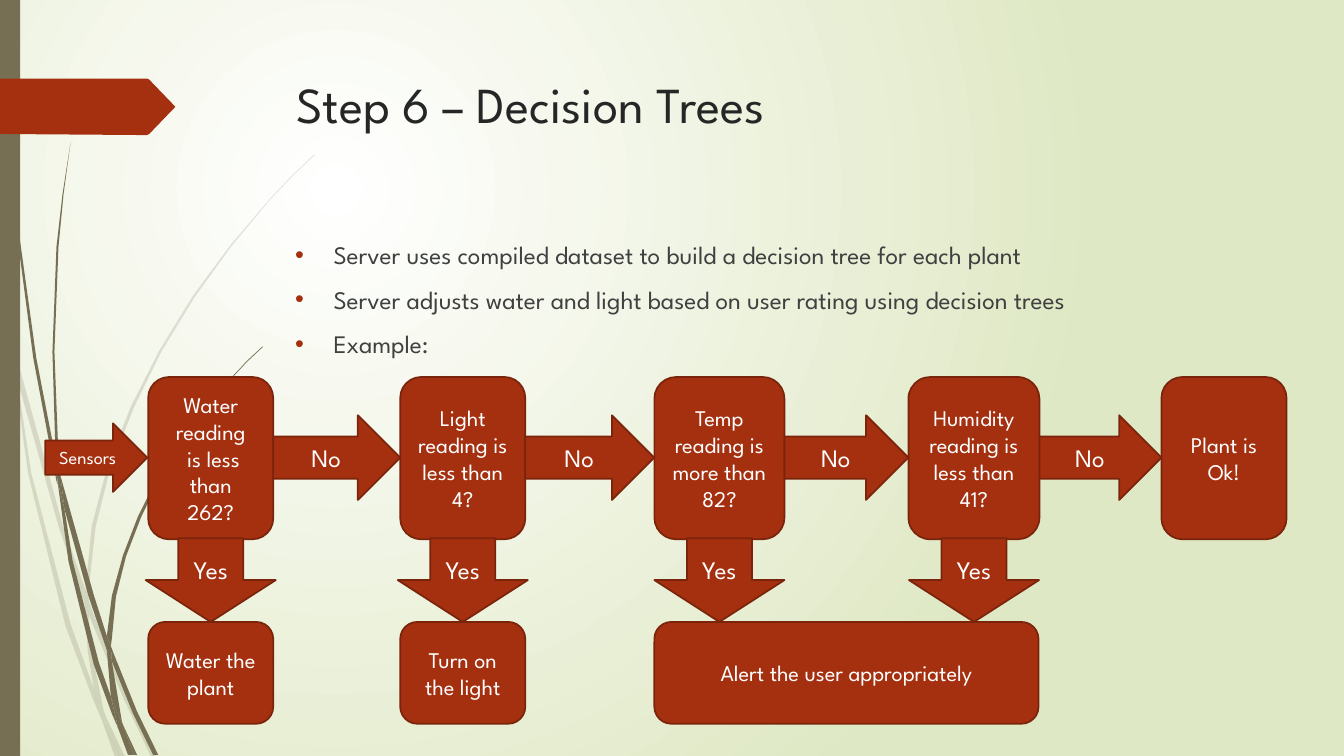
from dataclasses import dataclass

from lxml import etree
from pptx import Presentation
from pptx import util as u
from pptx.dml.color import RGBColor
from pptx.enum import shapes, text
from pptx.oxml import parse_xml
from pptx.oxml.ns import qn


@dataclass(frozen=True)
class Theme:
    """Colours, type sizes and font of the deck."""
    font: str = "League Spartan"
    accent: str = "A53010"
    accent_line: str = "7A240C"
    grass: str = "766F54"
    title_ink: str = "262626"
    body_ink: str = "404040"
    light: str = "FFFFFF"
    glow: str = "DFE8C4"
    title_size: float = 36
    body_size: float = 18
    box_size: float = 16
    sensor_size: float = 13
    line_width: float = 1.25


THEME = Theme()
KIND = shapes.MSO_SHAPE

PALE_GRASS = [
    [(0.11, 3.5), (0.09, 3.22), (0, 2.82), (0, 2.99), (0.1, 3.44)],
    [(0.58, 5.22), (0.84, 5.99), (0.85, 5.86), (0.62, 5.2), (0.14, 3.45), (0.17, 3.76)],
    [(0.92, 6.07), (0.88, 5.96), (0.88, 6.1), (1.23, 6.94), (1.5, 7.51), (1.55, 7.51),
     (1.27, 6.92)],
    [(1.19, 7.51), (1.24, 7.51), (1.05, 7.11)],
    [(0.93, 6.83), (0.7, 6.19), (0.31, 4.69), (0.17, 3.76), (0.11, 3.5), (0.28, 4.7),
     (0.65, 6.21), (0.92, 6.93), (1.01, 7.14), (0.99, 7.07)],
    [(0.84, 5.99), (0.87, 6.46), (0.93, 6.83), (0.96, 6.92), (1.05, 7.11), (1.03, 7.06),
     (0.91, 6.46), (0.88, 6.1), (0.88, 6.08)],
    [(0.88, 5.84), (0.95, 5.22), (1.1, 4.62), (1.33, 4.04), (1.6, 3.49), (1.93, 2.95),
     (2.29, 2.45), (2.68, 1.98), (2.9, 1.75), (3.12, 1.54), (3.12, 1.53), (2.89, 1.75),
     (2.68, 1.97), (2.28, 2.44), (1.91, 2.94), (1.58, 3.48), (1.3, 4.03), (1.07, 4.61),
     (0.91, 5.22), (0.85, 5.84), (0.85, 5.86), (0.88, 5.96)],
    [(1.01, 7.14), (1.14, 7.51), (1.19, 7.51)],
    [(0.88, 6.08), (0.88, 6.1), (0.88, 5.96), (0.85, 5.86), (0.84, 5.99)],
    [(0.96, 6.92), (0.93, 6.83), (0.99, 7.07), (1.01, 7.14), (1.19, 7.51), (1.05, 7.11)],
]
DARK_GRASS = [
    [(0.07, 1.1), (0.17, 2.33), (0.33, 3.55), (0.56, 4.77), (0.57, 4.81), (0.55, 4.57),
     (0.55, 4.53), (0.36, 3.55), (0.19, 2.32), (0.08, 1.09), (0.05, 0.48), (0.04, 0),
     (0.03, 0), (0.04, 0.48)],
    [(0.88, 5.92), (1.06, 6.45), (1.06, 6.33), (1.06, 6.31), (0.93, 5.9), (0.6, 4.72),
     (0.64, 5.05)],
    [(1.13, 6.49), (1.1, 6.41), (1.11, 6.56), (1.32, 7.08), (1.52, 7.49), (1.57, 7.49),
     (1.36, 7.06)],
    [(1.1, 6.91), (0.98, 6.57), (0.72, 5.56), (0.64, 5.05), (0.57, 4.77), (0.68, 5.57),
     (0.93, 6.59), (1.11, 7.08), (1.17, 7.22), (1.16, 7.17)],
    [(0.6, 4.72), (0.58, 4.53), (0.54, 3.49), (0.58, 2.45), (0.63, 1.93), (0.7, 1.41),
     (0.62, 1.93), (0.56, 2.45), (0.52, 3.49), (0.55, 4.49)],
    [(1.33, 7.49), (1.36, 7.49), (1.22, 7.19)],
    [(0.57, 4.77), (0.64, 5.05), (0.6, 4.72), (0.55, 4.49), (0.55, 4.53)],
    [(1.11, 6.33), (1.15, 5.92), (1.25, 5.52), (1.4, 5.13), (1.58, 4.76), (1.8, 4.4),
     (2.05, 4.06), (2.31, 3.74), (2.45, 3.59), (2.61, 3.44), (2.6, 3.44), (2.45, 3.58),
     (2.31, 3.73), (2.04, 4.05), (1.78, 4.39), (1.56, 4.74), (1.37, 5.12), (1.22, 5.51),
     (1.11, 5.91), (1.06, 6.31), (1.1, 6.41)],
    [(1.17, 7.22), (1.27, 7.49), (1.31, 7.49)],
    [(1.06, 6.45), (1.1, 6.91), (1.16, 7.06), (1.22, 7.19), (1.21, 7.16), (1.11, 6.56),
     (1.09, 6.51)],
    [(1.06, 6.45), (1.09, 6.51), (1.11, 6.56), (1.1, 6.41), (1.06, 6.31), (1.06, 6.33)],
    [(1.16, 7.06), (1.1, 6.91), (1.16, 7.17), (1.17, 7.22), (1.3, 7.49), (1.33, 7.49),
     (1.22, 7.19)],
]
TAG = [(1.74, 1.06), (1.48, 1.33), (1.46, 1.34), (1.36, 1.34), (0, 1.33), (0, 0.78),
       (1.46, 0.78), (1.48, 0.79)]


def rgb(code):
    """Turn a hex code into a colour."""
    return RGBColor.from_string(code)


def paint(shape, fill, line=None):
    """Give a shape a flat fill and an optional outline."""
    shape.shadow.inherit = False
    shape.fill.solid()
    shape.fill.fore_color.rgb = rgb(fill)
    if line:
        shape.line.color.rgb = rgb(line)
        shape.line.width = u.Pt(THEME.line_width)
    else:
        shape.line.fill.background()


def write(shape, words, size, ink, align=text.PP_ALIGN.LEFT, anchor=text.MSO_ANCHOR.TOP):
    """Fill a shape with wrapped text in the theme font."""
    frame = shape.text_frame
    frame.text = words
    frame.word_wrap = True
    frame.vertical_anchor = anchor
    for paragraph in frame.paragraphs:
        paragraph.alignment = align
        for run in paragraph.runs:
            run.font.name = THEME.font
            run.font.size = u.Pt(size)
            run.font.color.rgb = rgb(ink)


def outline(slide, points, box, fill, alpha=None):
    """Draw a closed freeform inside a box, optionally translucent."""
    left, top = box
    places = [(u.Inches(left + x), u.Inches(top + y)) for x, y in points]
    builder = slide.shapes.build_freeform(*places[0])
    builder.add_line_segments(places[1:])
    shape = builder.convert_to_shape()
    paint(shape, fill)
    if alpha:
        colour = shape.fill._xPr.find(".//" + qn("a:srgbClr"))
        etree.SubElement(colour, qn("a:alpha")).set("val", str(alpha * 1000))


def add_background(slide):
    """Fill the slide with a glow that spreads from the upper left."""
    slide.background.fill.solid()
    properties = slide.background.fill._xPr
    properties.replace(properties[0], parse_xml(
        '<a:gradFill xmlns:a="http://schemas.openxmlformats.org/drawingml/2006/main">'
        f'<a:gsLst><a:gs pos="0"><a:srgbClr val="{THEME.light}"/></a:gs>'
        f'<a:gs pos="100000"><a:srgbClr val="{THEME.glow}"/></a:gs></a:gsLst>'
        '<a:path path="circle"><a:fillToRect l="50000" t="50000" r="100000" b="100000"/>'
        '</a:path></a:gradFill>'))


def add_decoration(slide, box):
    """Draw the grass, the side bar and the tag."""
    for blade in PALE_GRASS:
        outline(slide, blade, box, THEME.grass, 20)
    for blade in DARK_GRASS:
        outline(slide, blade, box, THEME.grass)
    left, top = box
    bar = slide.shapes.add_shape(KIND.RECTANGLE, *map(u.Inches, (left, top, 0.2, 7.5)))
    paint(bar, THEME.grass)
    outline(slide, TAG, box, THEME.accent)


def add_title(slide, box, words):
    """Place the slide title."""
    title = slide.shapes.add_textbox(*map(u.Inches, box))
    write(title, words, THEME.title_size, THEME.title_ink)


def add_bullets(slide, box, lines):
    """Place the bulleted list."""
    body = slide.shapes.add_textbox(*map(u.Inches, box))
    write(body, "\n".join(lines), THEME.body_size, THEME.body_ink)
    for paragraph in body.text_frame.paragraphs:
        paragraph.space_before = u.Pt(10)
        properties = paragraph._p.get_or_add_pPr()
        properties.set("marL", str(u.Inches(0.38)))
        properties.set("indent", str(-u.Inches(0.38)))
        colour = etree.SubElement(properties, qn("a:buClr"))
        etree.SubElement(colour, qn("a:srgbClr")).set("val", THEME.accent)
        etree.SubElement(properties, qn("a:buFont")).set("typeface", "Arial")
        etree.SubElement(properties, qn("a:buChar")).set("char", "•")


def add_node(slide, kind, box, words, size):
    """Draw one labelled box or arrow of the tree."""
    node = slide.shapes.add_shape(kind, *map(u.Inches, box))
    paint(node, THEME.accent, THEME.accent_line)
    write(node, words, size, THEME.light, text.PP_ALIGN.CENTER, text.MSO_ANCHOR.MIDDLE)


def add_tree(slide, box):
    """Lay out the decision tree from the sensors to the outcomes."""
    left, top = box
    steps = [(1.02, 1.24, "Water reading\n is less than 262?"),
             (3.52, 1.24, "Light reading is less than 4?"),
             (6.04, 1.29, "Temp reading is more than 82?"),
             (8.56, 1.3, "Humidity reading is less than 41?"),
             (11.07, 1.24, "Plant is Ok!")]
    outcomes = [(1.02, 1.24, "Water the plant"), (3.52, 1.24, "Turn on the light"),
                (6.04, 3.81, "Alert the user appropriately")]
    for row, y, height in ((steps, 0, 1.61), (outcomes, 2.43, 1.01)):
        for x, width, words in row:
            add_node(slide, KIND.ROUNDED_RECTANGLE, (left + x, top + y, width, height),
                     words, THEME.box_size)
    for (x, width, _), (following, _, _) in zip(steps, steps[1:]):
        end = x + width
        add_node(slide, KIND.RIGHT_ARROW, (left + end, top + 0.38, following - end, 0.84),
                 "No", THEME.body_size)
    for x, width, _ in steps[:-1]:
        middle = left + x + width / 2
        add_node(slide, KIND.DOWN_ARROW, (middle - 0.645, top + 1.6, 1.29, 0.83),
                 "Yes", THEME.body_size)
    add_node(slide, KIND.RIGHT_ARROW, (left, top + 0.46, 1.01, 0.68),
             "Sensors", THEME.sensor_size)


def main():
    """Build and save the slide."""
    presentation = Presentation()
    presentation.slide_width = u.Inches(13.33)
    presentation.slide_height = u.Inches(7.5)
    slide = presentation.slides.add_slide(presentation.slide_layouts[6])
    add_background(slide)
    add_decoration(slide, (0, 0))
    add_title(slide, (2.84, 0.68, 9.75, 1.4), "Step 6 – Decision Trees")
    add_bullets(slide, (2.83, 2.33, 10.5, 4.6), [
        "Server uses compiled dataset to build a decision tree for each plant",
        "Server adjusts water and light based on user rating using decision trees",
        "Example:"])
    add_tree(slide, (0.45, 3.74))
    presentation.save("out.pptx")


if __name__ == "__main__":
    main()
